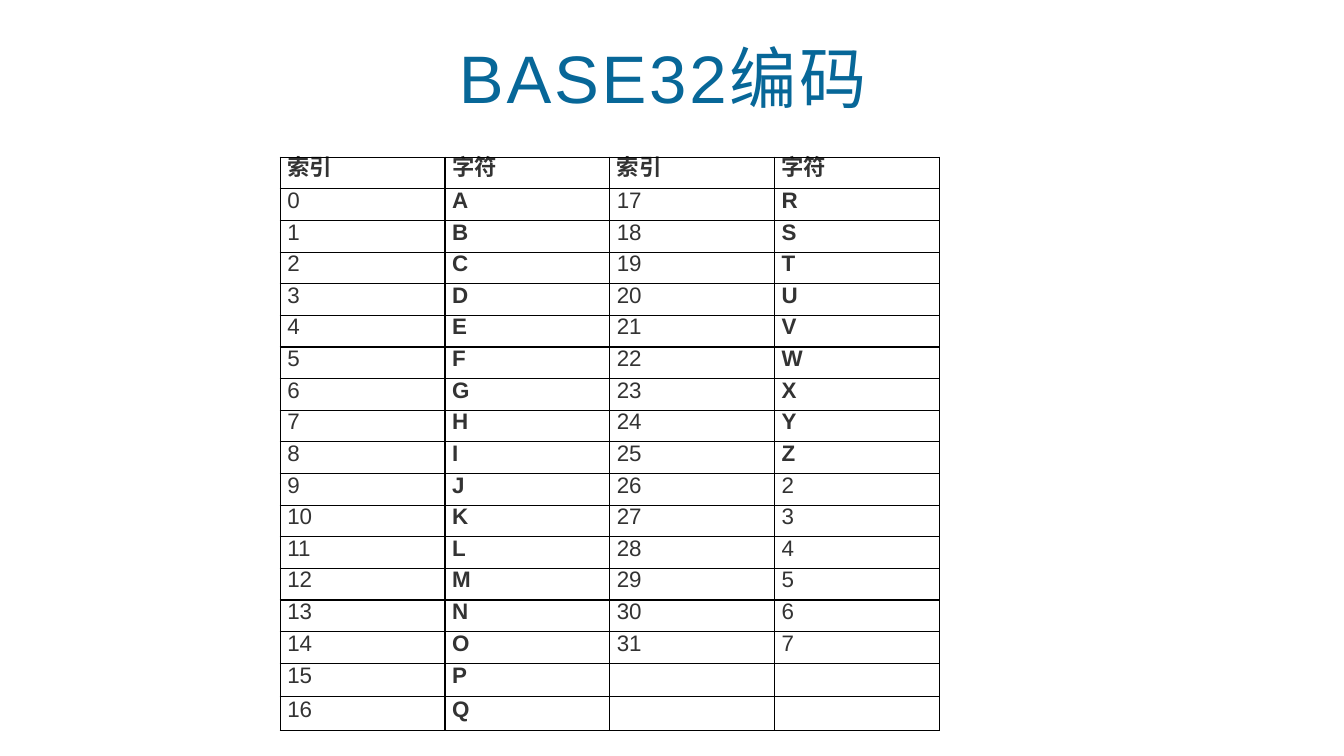
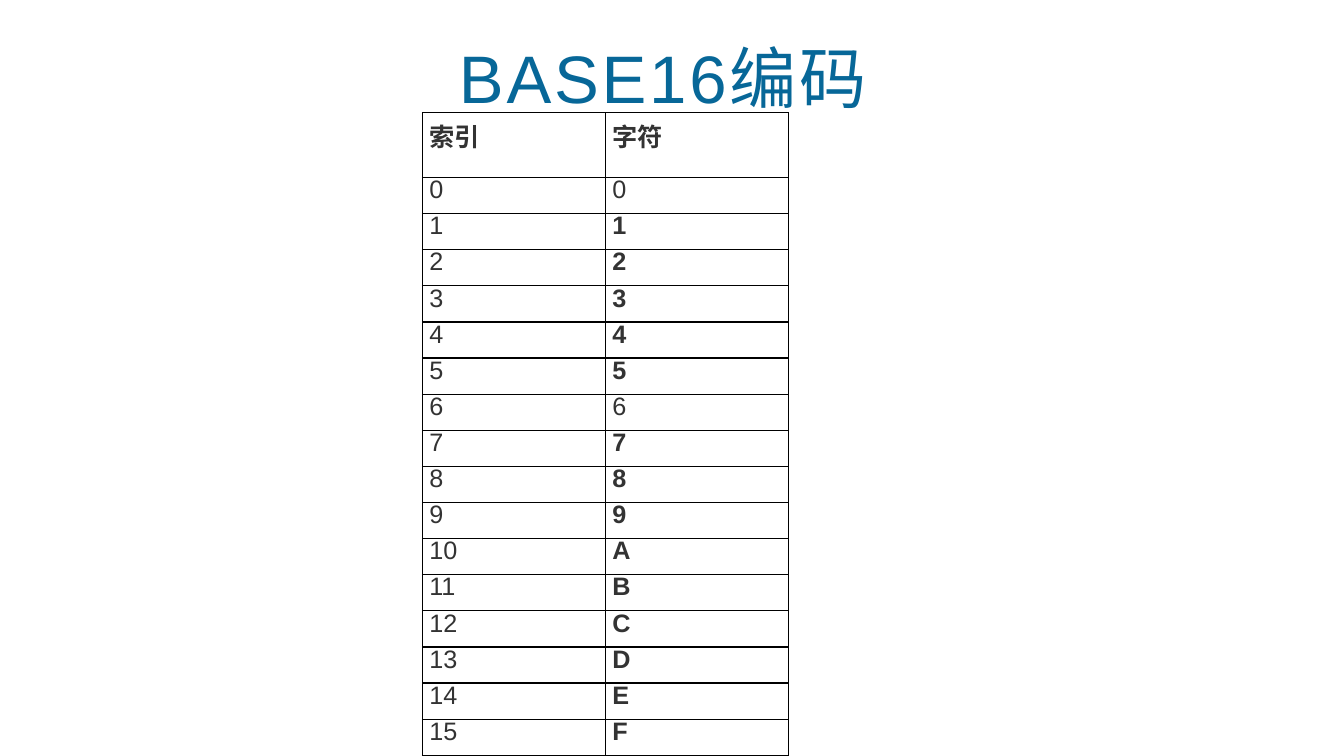
"""Build two slides that list the Base32 and Base16 alphabets."""
import dataclasses
import typing

import lxml.etree
import pptx
import pptx.dml.color
import pptx.enum.text
import pptx.oxml.ns
import pptx.slide
import pptx.table
import pptx.text.text
import pptx.util

Pt = pptx.util.Pt
Align = pptx.enum.text.PP_ALIGN
Anchor = pptx.enum.text.MSO_ANCHOR
Color = pptx.dml.color.RGBColor


@dataclasses.dataclass(frozen=True)
class Theme:
    """Colours, type and spacing that both slides share."""
    font: str = "Arial"
    blue: str = "076798"
    ink: str = "333333"
    line: str = "000000"
    paper: str = "FFFFFF"
    title: float = 48
    track: float = 2
    lead: float = 12.1
    side: float = 5
    edge: float = 0.7


@dataclasses.dataclass(frozen=True)
class Code:
    """One alphabet and the layout of its table."""
    title: str
    chars: str
    plain: str
    depth: int
    left: float
    top: float
    width: float
    size: float
    heights: tuple[float, ...]


THEME = Theme()
HEADS = ("索引", "字符")
CODES = (
    Code("BASE32编码 ", "ABCDEFGHIJKLMNOPQRSTUVWXYZ234567", "234567", 17,
         200.2, 112.3, 117.7, 16, (22.6,) * 16 + (24,) * 2),
    Code("BASE16编码 ", "0123456789ABCDEF", "06", 16,
         301.7, 80.6, 130.7, 18, (46.2,) + (25.8,) * 16),
)


def write(frame: pptx.text.text.TextFrame, text: str, *, size: float,
          color: str, align: Align, lead: typing.Any,
          bold: bool = False, track: float = 0) -> None:
    """Put one formatted paragraph in a text frame."""
    para = frame.paragraphs[0]
    para.alignment = align
    para.line_spacing = lead
    if not text:
        return
    run = para.add_run()
    run.text = text
    run.font.name = THEME.font
    run.font.size = Pt(size)
    run.font.bold = bold
    run.font.color.rgb = Color.from_string(color)
    if track:
        run._r.get_or_add_rPr().set("spc", str(round(track * 100)))


def frame_cell(cell: pptx.table._Cell) -> None:
    """Give a cell its four borders, fill and margins."""
    props = cell._tc.get_or_add_tcPr()
    name = pptx.oxml.ns.qn
    for side in "LRTB":
        line = lxml.etree.SubElement(props, name(f"a:ln{side}"), w=str(Pt(1)))
        fill = lxml.etree.SubElement(line, name("a:solidFill"))
        lxml.etree.SubElement(fill, name("a:srgbClr"), val=THEME.line)
    cell.fill.solid()
    cell.fill.fore_color.rgb = Color.from_string(THEME.paper)
    cell.margin_left = cell.margin_right = Pt(THEME.side)
    cell.margin_top = cell.margin_bottom = Pt(THEME.edge)
    cell.vertical_anchor = Anchor.MIDDLE


def list_rows(code: Code) -> list[list[tuple[str, bool]]]:
    """Return the text and weight of each cell, row by row."""
    starts = range(0, len(code.chars), code.depth)
    rows = [[(head, True) for _ in starts for head in HEADS]]
    for step in range(code.depth):
        row = []
        for start in starts:
            index = start + step
            char = code.chars[index:index + 1]
            row.append((str(index) if char else "", False))
            row.append((char, char not in code.plain))
        rows.append(row)
    return rows


def draw_title(slide: pptx.slide.Slide, text: str) -> None:
    """Place and fill the title."""
    shape = slide.shapes.title
    shape.left, shape.top = Pt(66), Pt(28.8)
    shape.width, shape.height = Pt(828), Pt(104.4)
    frame = shape.text_frame
    frame.auto_size = pptx.enum.text.MSO_AUTO_SIZE.NONE
    frame.vertical_anchor = Anchor.TOP
    write(frame, text, size=THEME.title, color=THEME.blue,
          align=Align.CENTER, lead=0.9, track=THEME.track)


def draw_table(slide: pptx.slide.Slide, code: Code) -> None:
    """Draw the table of one alphabet."""
    rows = list_rows(code)
    count = len(rows[0])
    table = slide.shapes.add_table(
        len(rows), count, Pt(code.left), Pt(code.top),
        Pt(code.width * count), Pt(sum(code.heights))).table
    table.first_row = table.horz_banding = False
    for col in table.columns:
        col.width = Pt(code.width)
    for line, height, row in zip(table.rows, code.heights, rows):
        line.height = Pt(height)
        for cell, (text, bold) in zip(line.cells, row):
            frame_cell(cell)
            write(cell.text_frame, text, size=code.size, color=THEME.ink,
                  align=Align.JUSTIFY, lead=Pt(THEME.lead), bold=bold)


def main() -> None:
    """Build and save the deck."""
    deck = pptx.Presentation()
    deck.slide_width, deck.slide_height = Pt(960), Pt(540)
    for code in CODES:
        slide = deck.slides.add_slide(deck.slide_layouts[5])
        draw_title(slide, code.title)
        draw_table(slide, code)
    deck.save("out.pptx")


if __name__ == "__main__":
    main()
